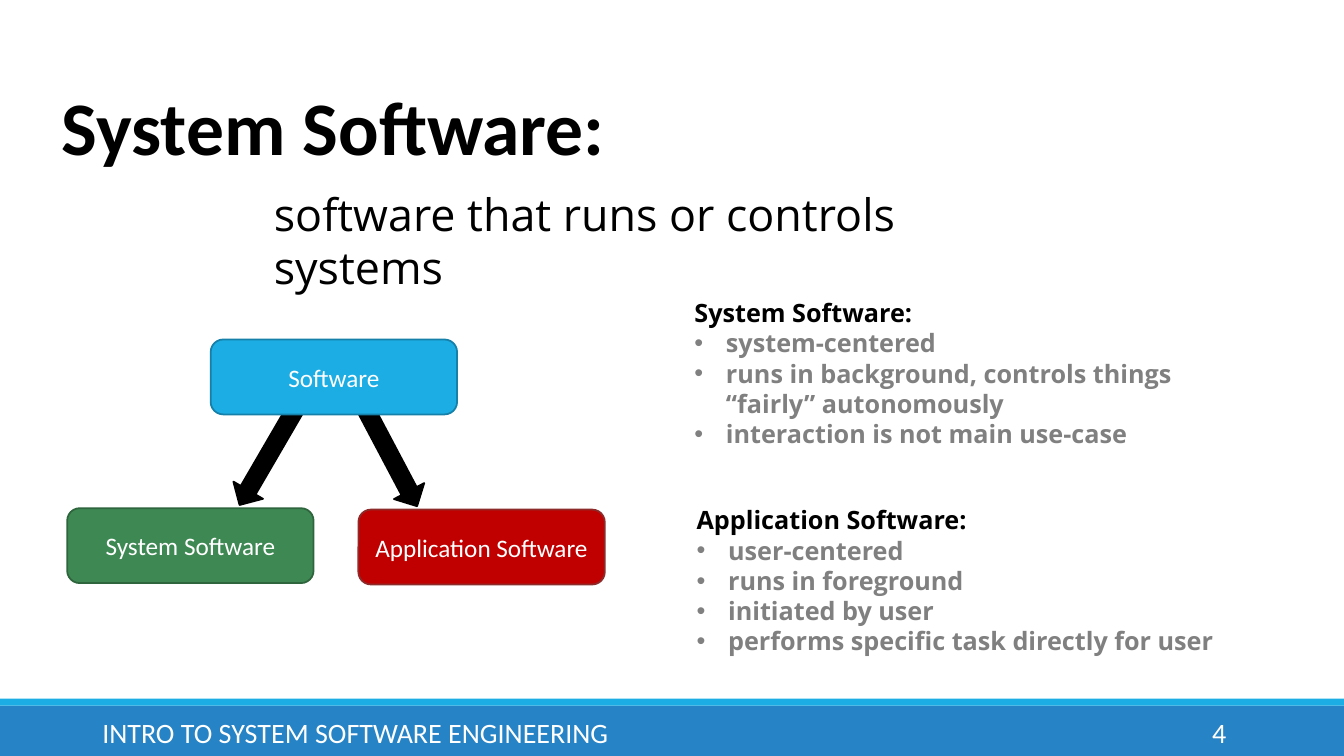
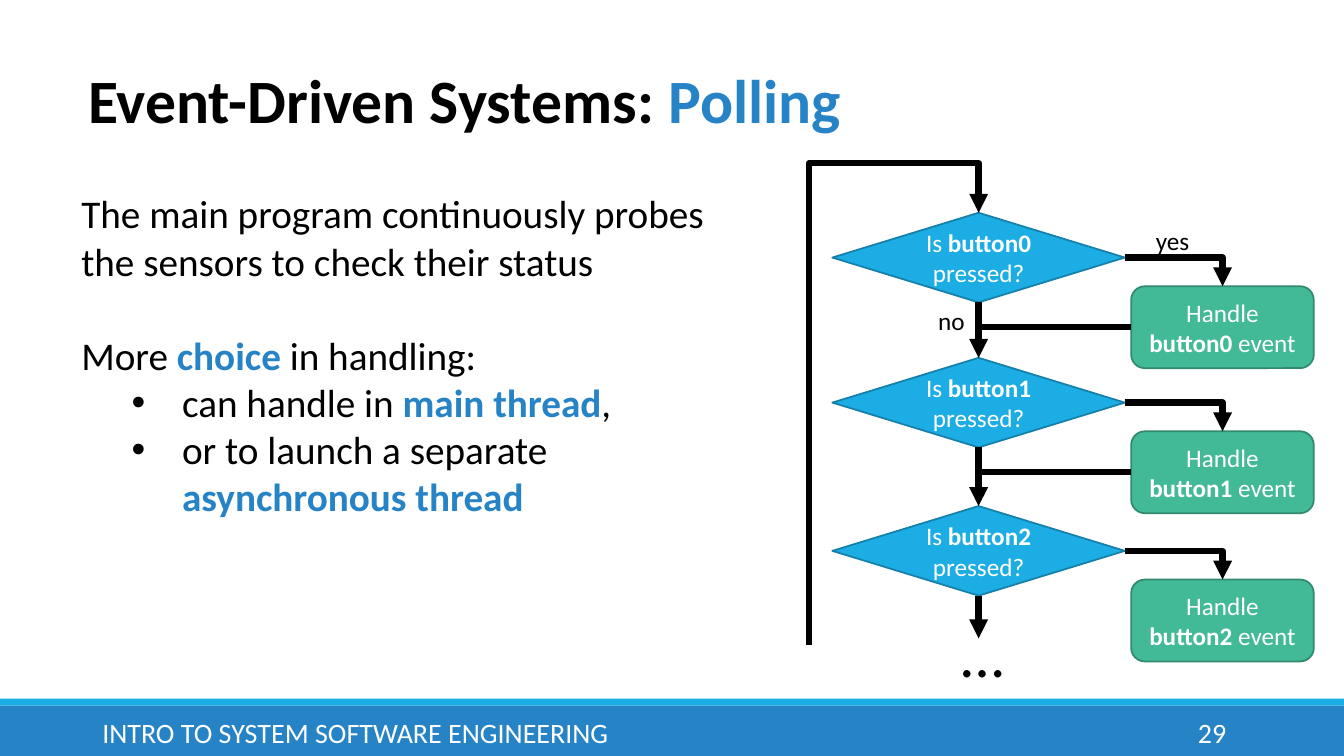
from lxml.etree import SubElement
from pptx import Presentation
from pptx.dml.color import RGBColor
from pptx.enum.shapes import MSO_CONNECTOR as Line, MSO_SHAPE as Form
from pptx.enum.text import MSO_ANCHOR as Anchor, PP_ALIGN as Align
from pptx.oxml.ns import qn
from pptx.util import Pt

HUES = {
    "black": "000000", "white": "FFFFFF", "gray": "808080",
    "blue": "2683C6", "sky": "1CADE4", "navy": "1580A9",
    "green": "3E8853", "pine": "2E653D", "red": "C00000", "wine": "8D2B2B",
    "teal": "42BA97", "moss": "318A70",
}
WIDE, HIGH = 960, 540

# Content: *stars* mark accented words, a leading • marks a bullet
FOOT = "INTRO TO SYSTEM SOFTWARE ENGINEERING"
MOTTO = "software that runs or controls systems"
TREE = [  # text, left, top, fill, edge
    ("System Software", 48, 363, "green", "pine"),
    ("Application Software", 256, 364, "red", "wine"),
    ("Software", 150.5, 242.5, "sky", "navy"),
]
BRANCHES = [(149, 120.2), (232.6, 62.1)]  # left, angle
KINDS = [  # left, top, width, lines
    (489, 209, 413, ["System Software:", "•system-centered",
                     "•runs in background, controls things “fairly” autonomously",
                     "•interaction is not main use-case"]),
    (490.5, 357, 384, ["Application Software:", "•user-centered",
                       "•runs in foreground", "•initiated by user",
                       "•performs specific task directly for user"]),
]
POLLING = [
    "The main program continuously probes the sensors to check their status",
    "More *choice* in handling:",
    "•can handle in *main thread*,",
    "•or to launch a separate *asynchronous thread*",
]
CHECKS = [("button0", 152), ("button1", 255.6), ("button2", 361.5)]  # name, top
LABELS = [("yes", 818.5, 157.5, 18), ("no", 663, 214.5, 18), ("…", 679.5, 436.5, 44)]


def hue(name):
    return RGBColor.from_string(HUES[name])


def write(para, text, size, color="black", face="Calibri", bold=False,
          accent=None, align=Align.LEFT, hang=None):
    """Fill one paragraph; hang is (indent, bullet gap)."""
    para.alignment = align
    if hang:
        props = para._p.get_or_add_pPr()
        props.set("marL", str(Pt(hang[0])))
        props.set("indent", str(-Pt(hang[1])))
        SubElement(props, qn("a:buFont")).set("typeface", "Arial")
        SubElement(props, qn("a:buChar")).set("char", "•")
    font = para.font
    font.name, font.size, font.bold = face, Pt(size), bold
    font.color.rgb = hue(color)
    for i, part in enumerate(text.split("*")):
        if part:
            run = para.add_run()
            run.text = part
            if i % 2:
                run.font.bold = True
                if accent:
                    run.font.color.rgb = hue(accent)


def label(slide, box, lines, size, lead=None, hang=None, anchor=Anchor.TOP,
          bullet=None, **style):
    """Text box; lead maps a line number to the space before it."""
    frame = slide.shapes.add_textbox(*map(Pt, box)).text_frame
    frame.word_wrap = True
    frame.vertical_anchor = anchor
    for i, line in enumerate(lines):
        para = frame.paragraphs[0] if i == 0 else frame.add_paragraph()
        if lead and i in lead:
            para.space_before = Pt(lead[i])
        if line.startswith("•"):
            write(para, line[1:], size, hang=hang, **{**style, **(bullet or {})})
        else:
            write(para, line, size, **style)


def block(slide, form, box, fill, edge=None, text=None):
    shape = slide.shapes.add_shape(form, *map(Pt, box))
    shape.shadow.inherit = False
    shape.fill.solid()
    shape.fill.fore_color.rgb = hue(fill)
    if edge:
        shape.line.color.rgb = hue(edge)
        shape.line.width = Pt(1.25)
    else:
        shape.line.fill.background()
    if text:
        frame = shape.text_frame
        frame.word_wrap = True
        frame.vertical_anchor = Anchor.MIDDLE
        write(frame.paragraphs[0], text, 18, "white", align=Align.CENTER)
    return shape


def link(slide, start, end, kind=Line.STRAIGHT, arrow=True):
    wire = slide.shapes.add_connector(kind, *map(Pt, (*start, *end)))
    wire.line.color.rgb = hue("black")
    wire.line.width = Pt(4.5)
    if arrow:
        SubElement(wire.line._get_or_add_ln(), qn("a:tailEnd")).set("type", "triangle")
    SubElement(wire._element.spPr, qn("a:effectLst"))
    return wire


def start(deck, title, box, size, number):
    """New slide with the shared bands, footer and title style."""
    slide = deck.slides.add_slide(deck.slide_layouts[6])
    block(slide, Form.RECTANGLE, (0, 504, WIDE, 36), "blue")
    block(slide, Form.RECTANGLE, (0, 499, WIDE, 5), "sky")
    for left, width, text, align in ((66, 604, FOOT, Align.LEFT),
                                     (780, 103, number, Align.RIGHT)):
        label(slide, (left, 508.5, width, 29), [text], 20, color="white",
              align=align, anchor=Anchor.MIDDLE)
    label(slide, box, [title], size, bold=True, accent="blue")
    return slide


def kinds(deck):
    slide = start(deck, "System Software:", (37, 53.5, 408, 73), 54, "4")
    label(slide, (188.5, 129.5, 558, 46), [MOTTO], 32, face="Open Sans")
    # Tree: the arrows start behind the top box
    def node(text, left, top, fill, edge):
        block(slide, Form.ROUNDED_RECTANGLE, (left, top, 176, 53.5), fill, edge, text)
    for leaf in TREE[:-1]:
        node(*leaf)
    for left, angle in BRANCHES:
        arrow = block(slide, Form.RIGHT_ARROW, (left, 310, 89, 24.5), "black", "black")
        arrow.rotation = angle
    node(*TREE[-1])
    # Traits
    for left, top, width, lines in KINDS:
        label(slide, (left, top, width, 117), lines, 18, face="Open Sans", bold=True,
              hang=(22.5, 22.5), bullet={"color": "gray"})


def polling(deck):
    slide = start(deck, "Event-Driven Systems: *Polling*", (56, 40.5, 558, 60.5), 44, "29")
    label(slide, (51, 132, 469, 245), POLLING, 28, lead={1: 34}, hang=(72, 36),
          accent="blue")
    # Flow chart
    left, wide, high = 594.5, 209, 64
    mid, right = left + wide / 2, left + wide
    side, span, tall, drop = 808, 130.5, 58.5, 52.5
    asks, acts = [], []
    for name, top in CHECKS:
        asks.append(block(slide, Form.FLOWCHART_DECISION, (left, top, wide, high),
                          "sky", "navy", f"Is *{name}* pressed?"))
        acts.append(block(slide, Form.ROUNDED_RECTANGLE, (side, top + drop, span, tall),
                          "teal", "moss", f"Handle *{name}* event"))
        bend = link(slide, (right, top + high / 2), (side + span / 2, top + drop), Line.ELBOW)
        bend._element.spPr.prstGeom.set("prst", "bentConnector2")
    # Way down, and back from each handler
    tops = [top for _, top in CHECKS]
    for i, (ask, act) in enumerate(zip(asks, acts)):
        last = i == len(asks) - 1
        foot = 456 if last else tops[i + 1]
        down = link(slide, (mid, tops[i] + high), (mid, foot))
        down.begin_connect(ask, 2)
        if not last:
            down.end_connect(asks[i + 1], 0)
            level = tops[i] + drop + tall / 2
            back = link(slide, (side, level), (mid, level), arrow=False)
            back.begin_connect(act, 1)
    for text, x, y, size in LABELS:
        label(slide, (x, y, 62, size * 1.22 + 7), [text], size)
    # Loop to the top: an elbow turned by 90 degrees
    x, low, peak = 578, 461, 116.5
    rise, run = low - tops[0], mid - x
    cx, cy = (x + mid) / 2, (low + tops[0]) / 2
    loop = link(slide, (cx + rise / 2, cy + run / 2), (cx - rise / 2, cy - run / 2), Line.ELBOW)
    props = loop._element.spPr
    props.xfrm.set("rot", "5400000")
    guide = SubElement(props.prstGeom.get_or_add_avLst(), qn("a:gd"))
    guide.set("name", "adj1")
    guide.set("fmla", f"val {round((low - peak) / rise * 100000)}")


def main():
    deck = Presentation()
    deck.slide_width, deck.slide_height = Pt(WIDE), Pt(HIGH)
    kinds(deck)
    polling(deck)
    deck.save("out.pptx")


if __name__ == "__main__":
    main()
